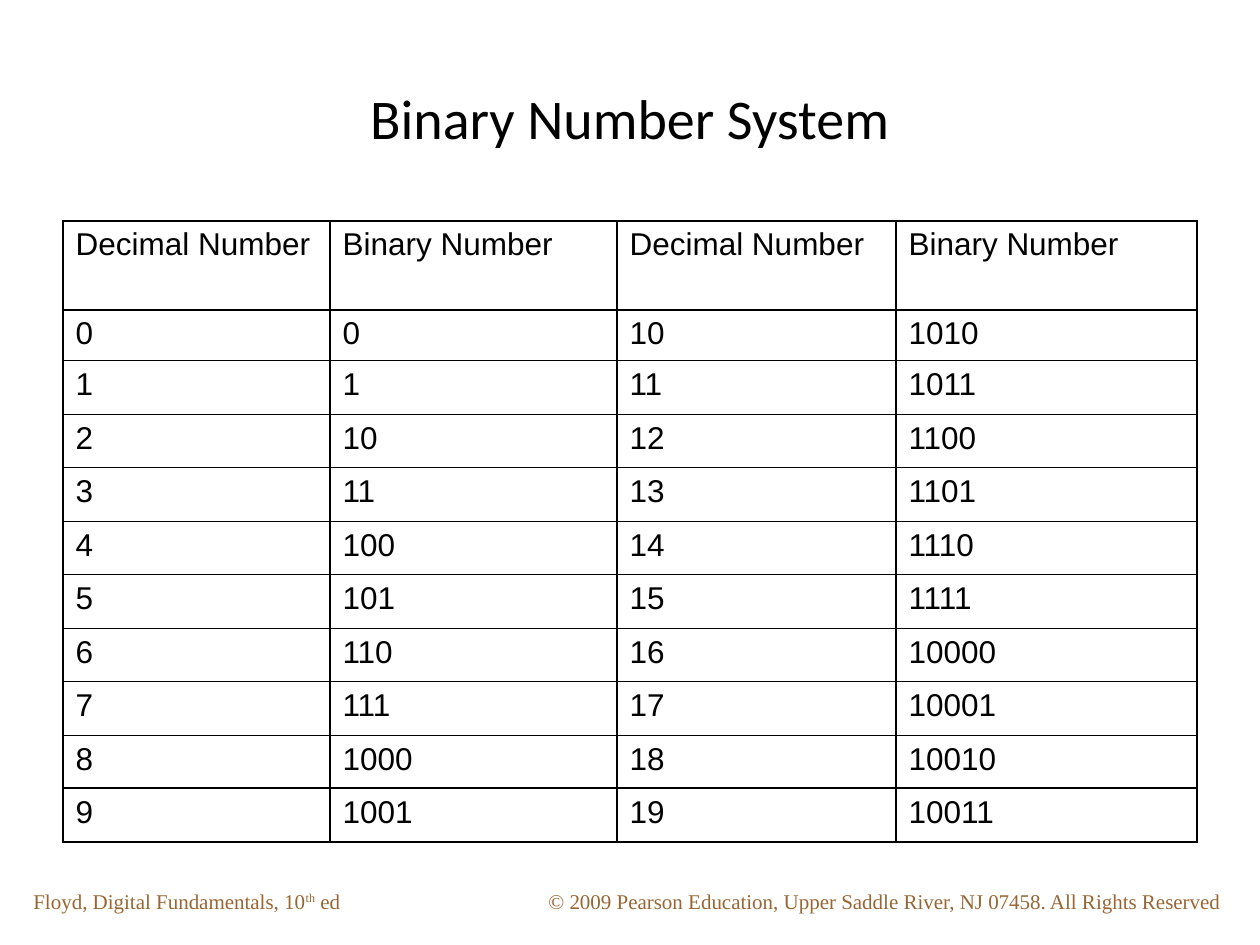
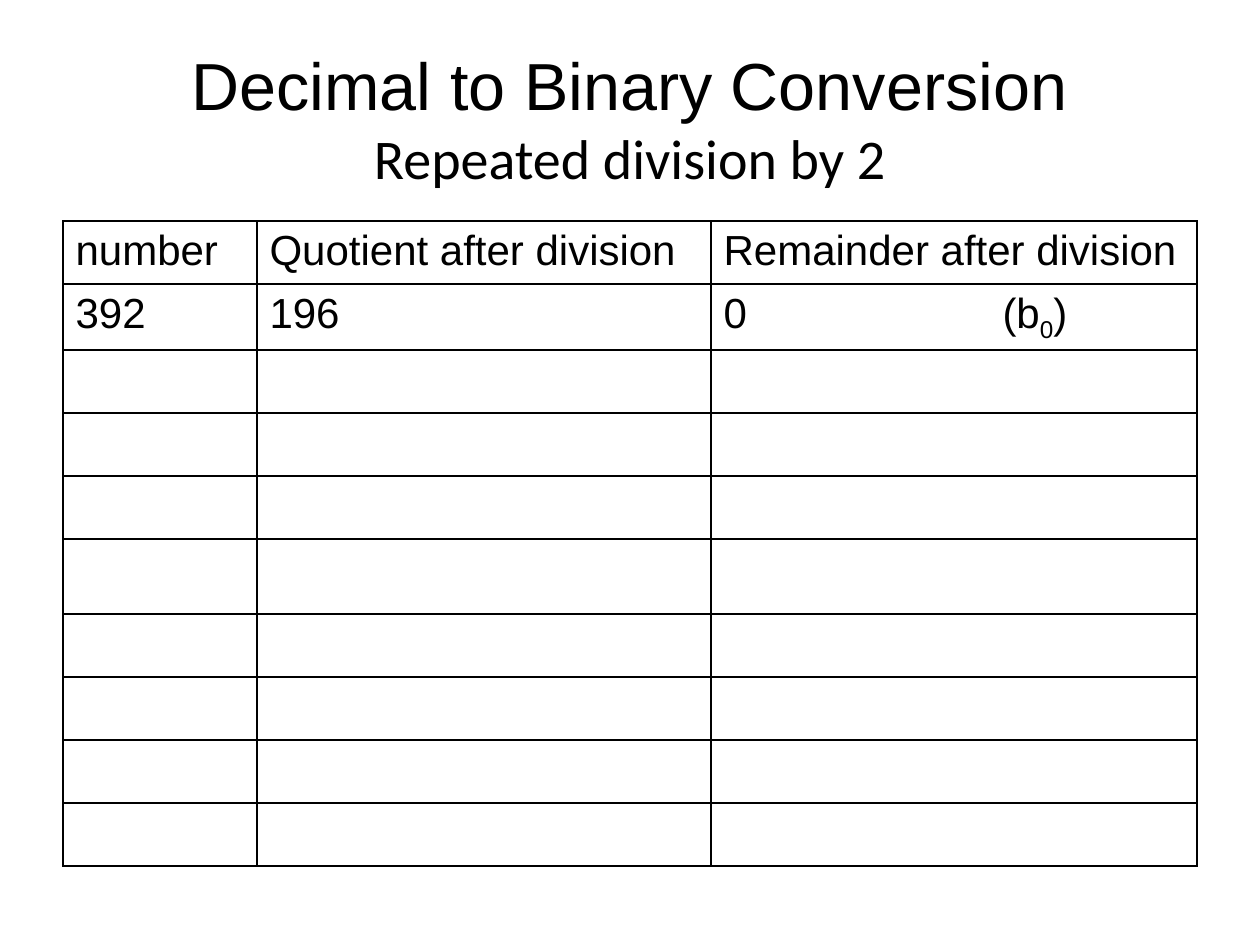
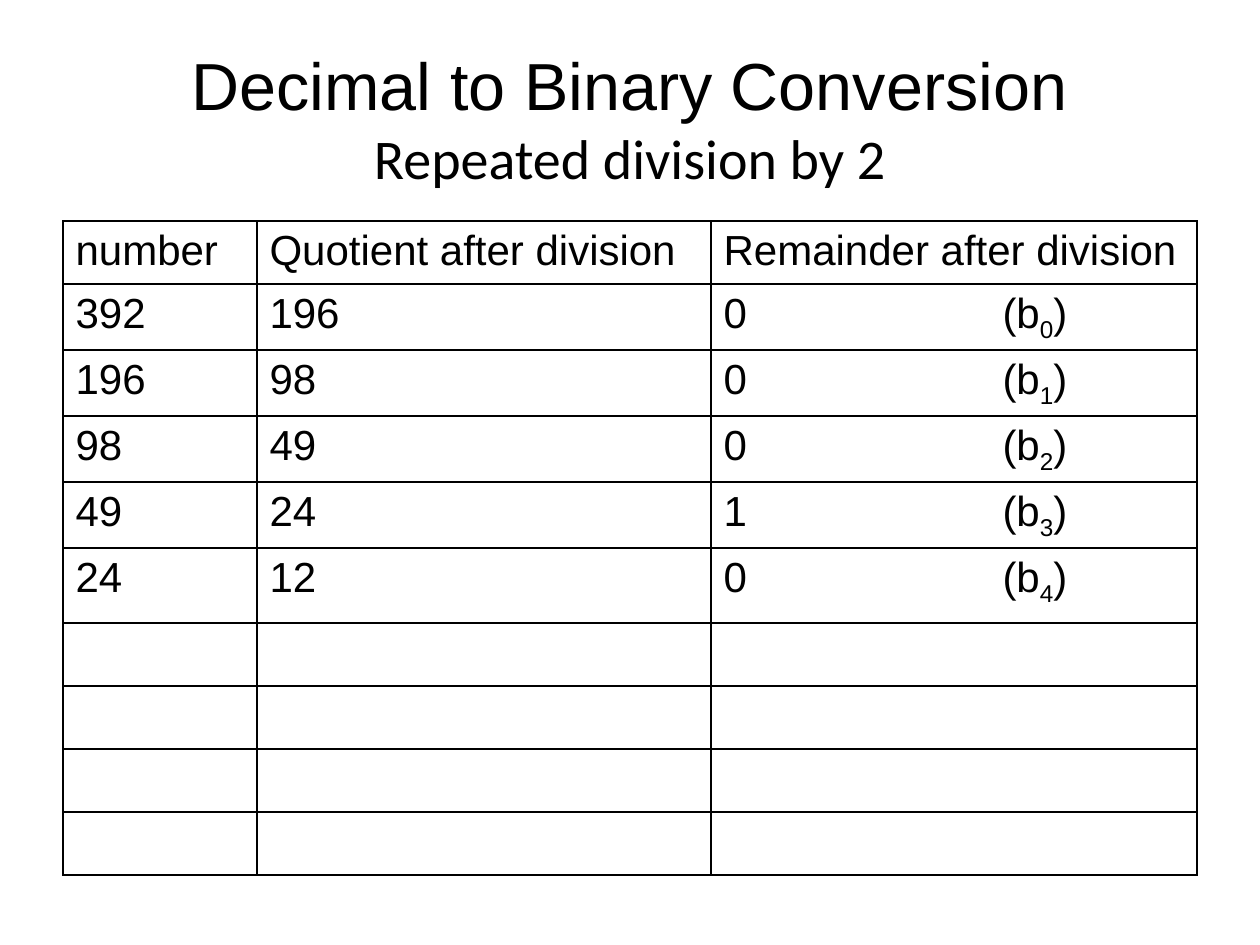
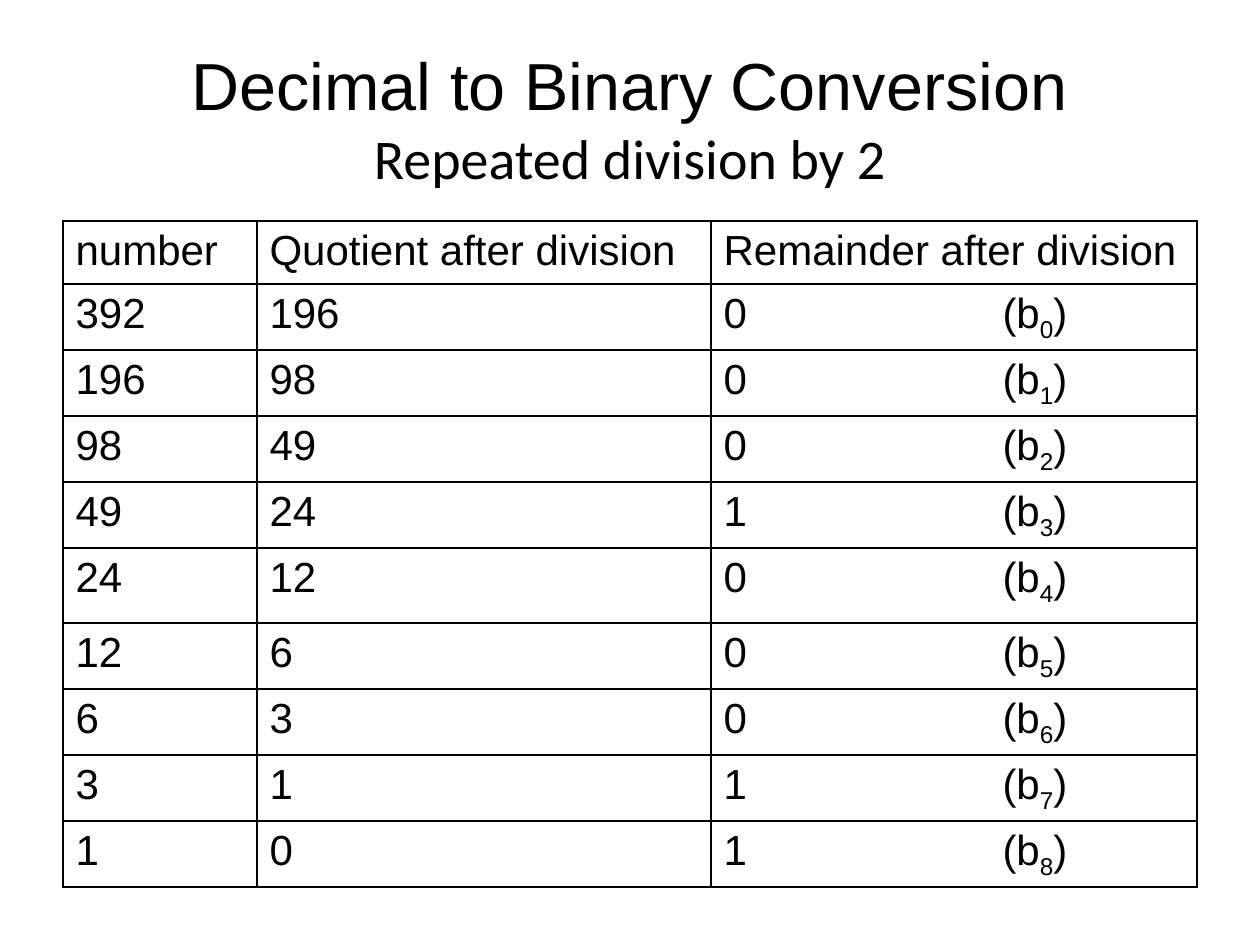
from lxml import etree
from pptx import Presentation
from pptx.dml.color import RGBColor
from pptx.enum.text import MSO_ANCHOR, PP_ALIGN
from pptx.oxml.ns import qn
from pptx.util import Pt

LEFT, CENTER, JUSTIFY = PP_ALIGN.LEFT, PP_ALIGN.CENTER, PP_ALIGN.JUSTIFY
TOP, MIDDLE = MSO_ANCHOR.TOP, MSO_ANCHOR.MIDDLE

COLORS = {"text": "000000", "border": "000000", "footer": "996633", "page": "FFFFFF"}
PX = 914400 / 126
BORDER_WIDTH = Pt(1)
HANGING = 48
BIT_HANGING = 279  # the tab after a remainder stops at this indent
TITLE_BOX = (63, 38, 1134, 158)
TABLE_LEFT, TABLE_TOP = 63, 221


def write(frame, *runs, size=18, font="Arial", color="text", align=LEFT,
          anchor=TOP, hanging=0):
    """Fill the frame with one paragraph; a run is a string or (string, overrides)."""
    frame.word_wrap = True
    frame.vertical_anchor = anchor
    paragraph = frame.paragraphs[0]
    paragraph.alignment = align
    properties = paragraph._p.get_or_add_pPr()
    properties.set("marL", str(round(hanging * PX)))
    properties.set("indent", str(round(-hanging * PX)))
    for item in runs:
        words, changes = (item, {}) if isinstance(item, str) else item
        if words == "\n":
            paragraph.add_line_break()
            continue
        run = paragraph.add_run()
        run.text = words
        run.font.size = Pt(changes.get("size", size))
        run.font.name = changes.get("font", font)
        run.font.color.rgb = RGBColor.from_string(COLORS[color])
        if "baseline" in changes:
            run._r.get_or_add_rPr().set("baseline", str(changes["baseline"] * 1000))


def add_grid(slide, widths, heights):
    """Add an unfilled table with black borders around every cell."""
    box = [round(n * PX) for n in (TABLE_LEFT, TABLE_TOP, sum(widths), sum(heights))]
    table = slide.shapes.add_table(len(heights), len(widths), *box).table
    table.first_row = table.horz_banding = False
    for column, width in zip(table.columns, widths):
        column.width = round(width * PX)
    for row, height in zip(table.rows, heights):
        row.height = round(height * PX)
    for cell in table.iter_cells():
        cell.fill.background()
        properties = cell._tc.get_or_add_tcPr()
        for position, side in enumerate(("lnL", "lnR", "lnT", "lnB")):
            line = etree.Element(qn("a:" + side), w=str(BORDER_WIDTH))
            fill = etree.SubElement(line, qn("a:solidFill"))
            etree.SubElement(fill, qn("a:srgbClr"), val=COLORS["border"])
            properties.insert(position, line)
    return table


deck = Presentation()
deck.slide_width, deck.slide_height = round(1260 * PX), round(945 * PX)
blank = deck.slide_layouts[6]

conversion_title = ("Decimal to Binary Conversion", "\n",
                    ("Repeated division by 2", {"size": 32, "font": "Calibri"}))
titles = [(("Binary Number System", {"size": 32, "font": "Calibri"}),)]
titles += [conversion_title] * 3

slides = []
for title in titles:
    slide = deck.slides.add_slide(blank)
    slide.background.fill.solid()
    slide.background.fill.fore_color.rgb = RGBColor.from_string(COLORS["page"])
    heading = slide.shapes.add_textbox(*(round(n * PX) for n in TITLE_BOX))
    write(heading.text_frame, *title, size=38, align=CENTER, anchor=MIDDLE)
    slides.append(slide)

# Slide 1: decimal and binary numbers side by side, with the footers
number_slide, *division_slides = slides
footers = [
    (536, 703, ["© 2009 Pearson Education, Upper Saddle River, NJ 07458. All Rights Reserved"]),
    (21, 388, ["Floyd, Digital Fundamentals, 10", ("th", {"baseline": 30}), " ed"]),
]
for left, width, words in footers:
    footer = number_slide.shapes.add_textbox(
        *(round(n * PX) for n in (left, 882, width, 38)))
    write(footer.text_frame, *words, size=12, font="Times New Roman", color="footer")

number_rows = [["Decimal Number", "Binary Number"] * 2]
number_rows += [[str(n), f"{n:b}", str(n + 10), f"{n + 10:b}"] for n in range(10)]
numbers = add_grid(number_slide, [267, 287, 279, 301], [89, 50] + [54, 53] * 4 + [54])
for r, row in enumerate(number_rows):
    for c, value in enumerate(row):
        write(numbers.cell(r, c).text_frame, value, hanging=HANGING)

# Slides 2 to 4: 392 halved step by step, with more steps shown each time
headers = ["number", "Quotient after division", "Remainder after division"]
for slide, shown_steps in zip(division_slides, (1, 5, 9)):
    heights = [63] + [66] * shown_steps + [63] * (9 - shown_steps)
    heights[5] = 75
    steps = add_grid(slide, [194, 454, 486], heights)
    for c, header in enumerate(headers):
        write(steps.cell(0, c).text_frame, header, size=24, align=JUSTIFY, hanging=HANGING)
    number = 392
    for bit in range(shown_steps):
        quotient, remainder = divmod(number, 2)
        for c, value in enumerate((number, quotient)):
            write(steps.cell(bit + 1, c).text_frame, str(value),
                  size=24, align=JUSTIFY, hanging=HANGING)
        bit_cell = steps.cell(bit + 1, 2)
        bit_cell.margin_bottom = 0
        write(bit_cell.text_frame, f"{remainder}\t(b", (str(bit), {"baseline": -25}), ")",
              size=24, align=JUSTIFY, hanging=BIT_HANGING)
        number = quotient

deck.save("out.pptx")
